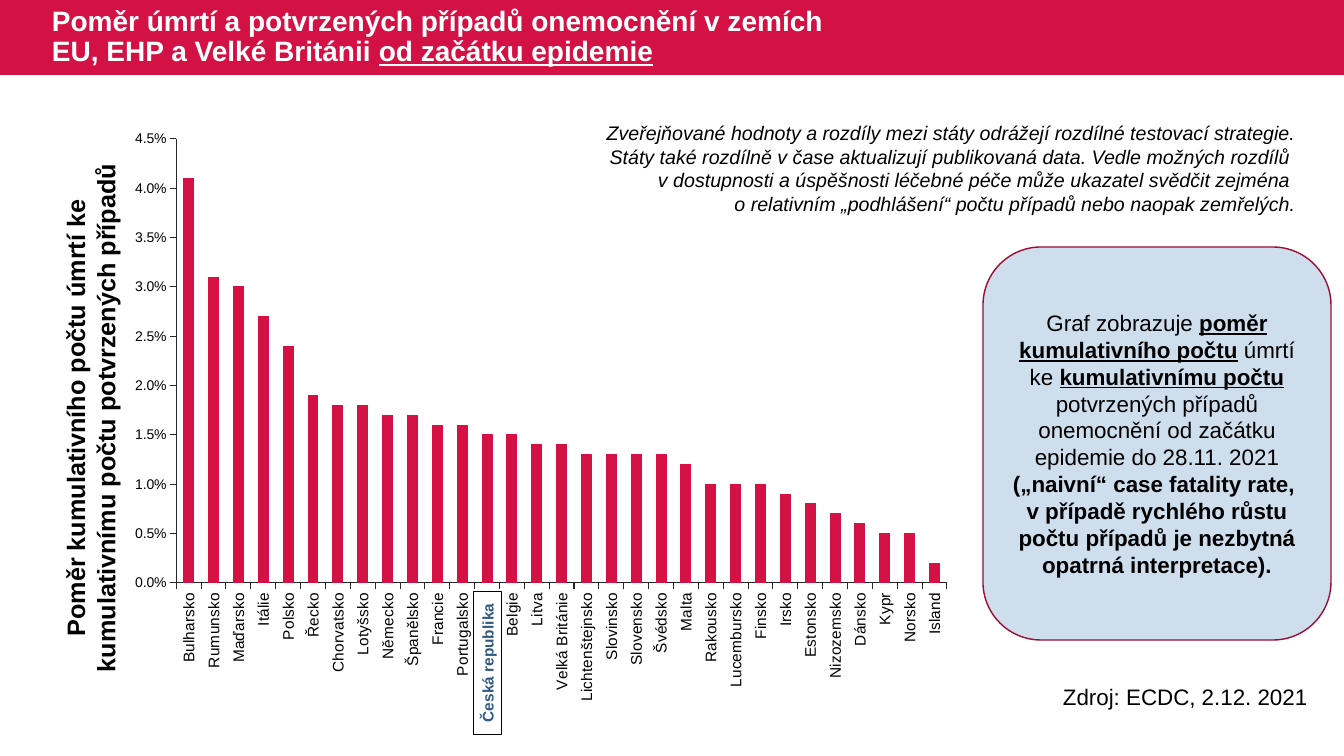
from dataclasses import dataclass

from lxml.etree import SubElement
from pptx import Presentation
from pptx.chart.axis import _BaseAxis
from pptx.chart.chart import Chart
from pptx.chart.data import CategoryChartData
from pptx.dml.color import RGBColor
from pptx.enum.chart import XL_CHART_TYPE, XL_TICK_MARK
from pptx.enum.shapes import MSO_SHAPE
from pptx.enum.text import MSO_ANCHOR, PP_ALIGN
from pptx.oxml.ns import qn
from pptx.slide import Slide
from pptx.util import Emu, Pt

EMU_PER_PX = 914400 / 100.8
FONT = "Arial"
RED, BLACK, WHITE = "D31145", "000000", "FFFFFF"


@dataclass(frozen=True)
class Run:
    text: str
    bold: bool = False
    underline: bool = False
    italic: bool = False


@dataclass(frozen=True)
class Block:
    box: tuple[int, int, int, int]
    paragraphs: tuple[tuple[Run, ...], ...] = ()
    size: int = 16
    color: str = BLACK
    align: PP_ALIGN = PP_ALIGN.LEFT
    anchor: MSO_ANCHOR = MSO_ANCHOR.TOP
    rotation: int = 0
    spacing: float = 1.0
    outline: MSO_SHAPE | None = None
    fill: str = WHITE
    line: str | None = None


BLOCKS_BELOW_CHART = (
    Block((0, 0, 1344, 75), outline=MSO_SHAPE.RECTANGLE, fill=RED),
    Block((1053, 678, 316, 37), ((Run("Zdroj: ECDC, 2.12. 2021"),),)),
    Block(
        (-182, 382, 546, 72),
        ((Run("Poměr kumulativního počtu úmrtí ke kumulativnímu počtu potvrzených případů", bold=True),),),
        size=18, align=PP_ALIGN.CENTER, rotation=270,
    ),
)

BLOCKS_ABOVE_CHART = (
    Block(
        (983, 247, 348, 393),
        ((
            Run("Graf zobrazuje "),
            Run("poměr kumulativního počtu", bold=True, underline=True),
            Run(" úmrtí ke "),
            Run("kumulativnímu počtu", bold=True, underline=True),
            Run(" potvrzených případů onemocnění od začátku epidemie do 28.11. 2021\n"),
            Run("(„naivní“ case fatality rate, \nv případě rychlého růstu počtu případů "
                "je nezbytná opatrná interpretace).", bold=True),
        ),),
        align=PP_ALIGN.CENTER, anchor=MSO_ANCHOR.MIDDLE,
        outline=MSO_SHAPE.ROUNDED_RECTANGLE, fill="CFDEED", line="9C0D33",
    ),
    Block(
        (42, 0, 823, 75),
        ((
            Run("Poměr úmrtí a potvrzených případů onemocnění v zemích EU, EHP a Velké Británii ", bold=True),
            Run("od začátku epidemie", bold=True, underline=True),
        ),),
        size=20, color=WHITE, anchor=MSO_ANCHOR.MIDDLE, spacing=0.9,
    ),
    Block(
        (416, 649, 143, 28), ((Run("Česká republika", bold=True),),),
        size=11, color="305983", align=PP_ALIGN.CENTER, anchor=MSO_ANCHOR.MIDDLE,
        rotation=270, outline=MSO_SHAPE.RECTANGLE, line=BLACK,
    ),
    Block(
        (587, 116, 719, 105),
        (
            (Run("Zveřejňované hodnoty a rozdíly mezi státy odrážejí rozdílné testovací strategie. "
                 "Státy také rozdílně v čase aktualizují publikovaná data. Vedle možných rozdílů \n"
                 "v dostupnosti a úspěšnosti léčebné péče může ukazatel svědčit zejména ", italic=True),),
            (Run("o relativním „podhlášení“ počtu případů nebo naopak zemřelých.", italic=True),),
        ),
        size=14, align=PP_ALIGN.RIGHT,
    ),
)

FATALITY_RATIOS = {
    "Bulharsko": 0.041, "Rumunsko": 0.031, "Maďarsko": 0.03, "Itálie": 0.027,
    "Polsko": 0.024, "Řecko": 0.019, "Chorvatsko": 0.018, "Lotyšsko": 0.018,
    "Německo": 0.017, "Španělsko": 0.017, "Francie": 0.016, "Portugalsko": 0.016,
    "Česká republika": 0.015, "Belgie": 0.015, "Litva": 0.014, "Velká Británie": 0.014,
    "Lichtenštejnsko": 0.013, "Slovinsko": 0.013, "Slovensko": 0.013, "Švédsko": 0.013,
    "Malta": 0.012, "Rakousko": 0.01, "Lucembursko": 0.01, "Finsko": 0.01,
    "Irsko": 0.009, "Estonsko": 0.008, "Nizozemsko": 0.007, "Dánsko": 0.006,
    "Kypr": 0.005, "Norsko": 0.005, "Island": 0.002,
}


def px(length: int) -> Emu:
    return Emu(round(length * EMU_PER_PX))


def rgb(color: str) -> RGBColor:
    return RGBColor.from_string(color)


def draw_block(slide: Slide, block: Block) -> None:
    bounds = [px(length) for length in block.box]
    if block.outline is None:
        shape = slide.shapes.add_textbox(*bounds)
    else:
        shape = slide.shapes.add_shape(block.outline, *bounds)
        shape.shadow.inherit = False
        shape.fill.solid()
        shape.fill.fore_color.rgb = rgb(block.fill)
        if block.line:
            shape.line.color.rgb = rgb(block.line)
            shape.line.width = Pt(1)
        else:
            shape.line.fill.background()
    shape.rotation = block.rotation
    frame = shape.text_frame
    frame.word_wrap = True
    frame.vertical_anchor = block.anchor
    for index, runs in enumerate(block.paragraphs):
        paragraph = frame.add_paragraph() if index else frame.paragraphs[0]
        paragraph.alignment = block.align
        paragraph.line_spacing = block.spacing
        for run in runs:
            for part_index, part in enumerate(run.text.split("\n")):
                if part_index:
                    paragraph.add_line_break()
                if not part:
                    continue
                piece = paragraph.add_run()
                piece.text = part
                font = piece.font
                font.name, font.size = FONT, Pt(block.size)
                font.color.rgb = rgb(block.color)
                font.bold, font.italic, font.underline = run.bold, run.italic, run.underline


def style_axis(axis: _BaseAxis, size: int) -> None:
    axis.has_major_gridlines = False
    axis.major_tick_mark = XL_TICK_MARK.OUTSIDE
    axis.minor_tick_mark = XL_TICK_MARK.NONE
    axis.format.line.color.rgb = rgb("262626")
    axis.format.line.width = Pt(0.75)
    font = axis.tick_labels.font
    font.name, font.size = FONT, Pt(size)
    font.color.rgb = rgb(BLACK)


def place_plot(chart: Chart, x: float, y: float, w: float, h: float) -> None:
    plot_area = chart._chartSpace.chart.plotArea
    for layout in plot_area.findall(qn("c:layout")):
        plot_area.remove(layout)
    layout = SubElement(plot_area, qn("c:layout"))
    plot_area.insert(0, layout)
    manual = SubElement(layout, qn("c:manualLayout"))
    settings = {"layoutTarget": "inner", "xMode": "edge", "yMode": "edge", "x": x, "y": y, "w": w, "h": h}
    for tag, value in settings.items():
        SubElement(manual, qn(f"c:{tag}")).set("val", str(value))


def draw_ratio_chart(slide: Slide) -> None:
    data = CategoryChartData(number_format="0.0%")
    data.categories = list(FATALITY_RATIOS)
    data.add_series("Series 1", list(FATALITY_RATIOS.values()))
    bounds = [px(length) for length in (117, 109, 847, 600)]
    chart = slide.shapes.add_chart(XL_CHART_TYPE.COLUMN_CLUSTERED, *bounds, data).chart
    chart.has_legend = False
    chart.has_title = False
    chart.font.name, chart.font.size = FONT, Pt(10)
    chart.font.color.rgb = rgb("404040")
    plot = chart.plots[0]
    plot.gap_width = 150
    plot.vary_by_categories = False
    bars = plot.series[0].format
    bars.fill.solid()
    bars.fill.fore_color.rgb = rgb(RED)
    bars.line.color.rgb = rgb(RED)
    bars.line.width = Pt(0.75)
    countries, ratios = chart.category_axis, chart.value_axis
    style_axis(countries, 11)
    style_axis(ratios, 10)
    countries._element.find(qn("c:txPr")).find(qn("a:bodyPr")).set("rot", "-5400000")
    ratios.minimum_scale, ratios.maximum_scale, ratios.major_unit = 0, 0.045, 0.005
    ratios.tick_labels.number_format = "0.0%"
    ratios.tick_labels.number_format_is_linked = False
    place_plot(chart, 0.07, 0.05, 0.91, 0.74)


def main() -> None:
    presentation = Presentation()
    presentation.slide_width, presentation.slide_height = px(1344), px(756)
    slide = presentation.slides.add_slide(presentation.slide_layouts[6])
    for block in BLOCKS_BELOW_CHART:
        draw_block(slide, block)
    draw_ratio_chart(slide)
    for block in BLOCKS_ABOVE_CHART:
        draw_block(slide, block)
    presentation.save("out.pptx")


if __name__ == "__main__":
    main()
